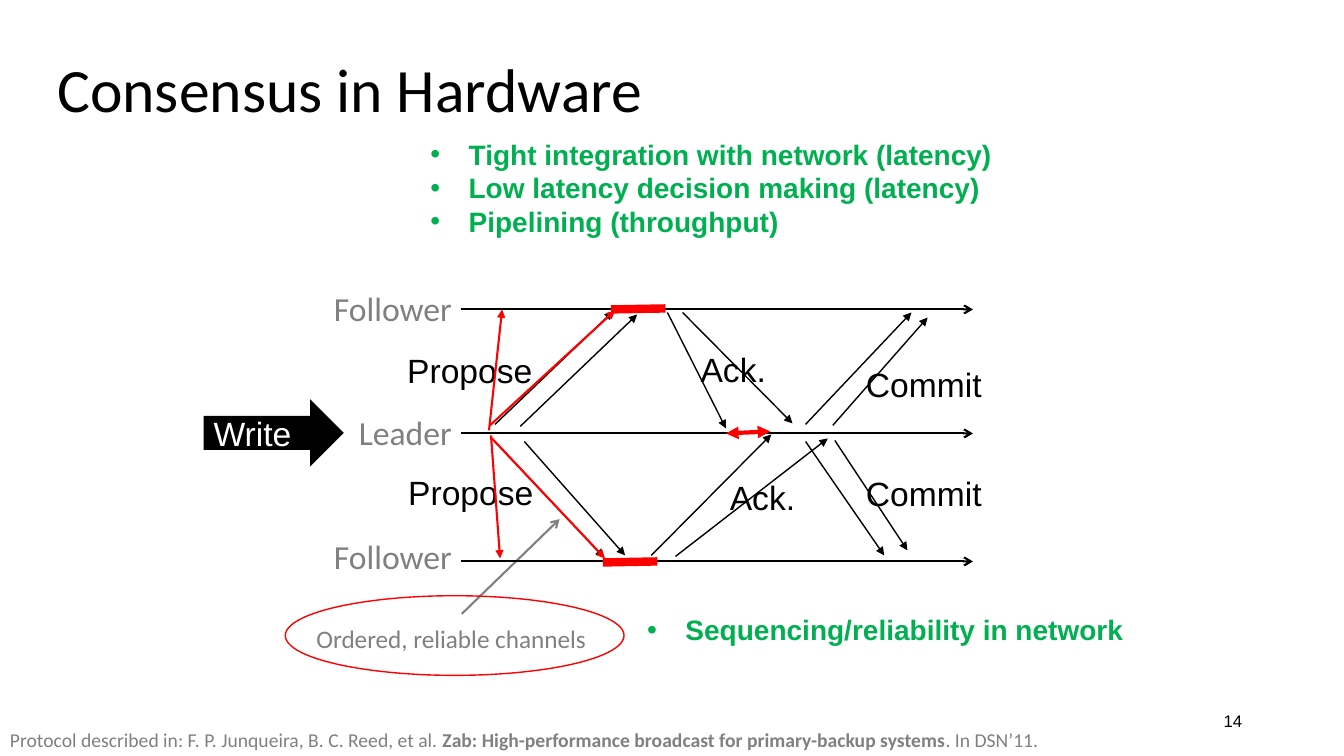
from lxml import etree
from pptx import Presentation
from pptx.dml.color import RGBColor
from pptx.enum.shapes import MSO_CONNECTOR, MSO_SHAPE
from pptx.enum.text import MSO_ANCHOR, PP_ALIGN
from pptx.oxml.ns import qn
from pptx.util import Inches, Pt

STRAIGHT = MSO_CONNECTOR.STRAIGHT
RIGHT_ARROW, OVAL = MSO_SHAPE.RIGHT_ARROW, MSO_SHAPE.OVAL
TOP, MIDDLE = MSO_ANCHOR.TOP, MSO_ANCHOR.MIDDLE
LEFT, RIGHT = PP_ALIGN.LEFT, PP_ALIGN.RIGHT

COLORS = {"black": "000000", "white": "FFFFFF", "gray": "808080",
          "red": "FF0000", "green": "00B050"}

FORMATS = {
    "title": {"name": "Calibri", "size": 44, "color": "black"},
    "number": {"name": "Arial", "size": 12, "color": "black"},
    "node": {"name": "Calibri", "size": 24, "color": "gray"},
    "message": {"name": "Arial", "size": 24, "color": "black"},
    "request": {"name": "Arial", "size": 24, "color": "white"},
    "channel": {"name": "Calibri", "size": 18, "color": "gray"},
    "source": {"name": "Calibri", "size": 14, "color": "gray"},
    "source bold": {"name": "Calibri", "size": 14, "color": "gray", "bold": True},
    "benefit": {"name": "Arial", "size": 20, "color": "green", "bold": True},
}


class SlideBuilder:
    """Draws styled elements on the current slide."""

    def __init__(self, slide):
        self.slide = slide

    def color(self, name):
        return RGBColor.from_string(COLORS[name])

    def add_run(self, paragraph, text, style):
        font_values = dict(FORMATS[style])
        run = paragraph.add_run()
        run.text = text
        run.font.color.rgb = self.color(font_values.pop("color"))
        font_values["size"] = Pt(font_values["size"])
        for attribute, value in font_values.items():
            setattr(run.font, attribute, value)

    def text(self, box, runs, align=LEFT, anchor=TOP, spacing=1.0):
        shape = self.slide.shapes.add_textbox(*map(Inches, box))
        frame = shape.text_frame
        frame.word_wrap = True
        frame.vertical_anchor = anchor
        paragraph = frame.paragraphs[0]
        paragraph.alignment = align
        paragraph.line_spacing = spacing
        for text, style in runs:
            self.add_run(paragraph, text, style)

    def bullets(self, box, items):
        shape = self.slide.shapes.add_textbox(*map(Inches, box))
        frame = shape.text_frame
        frame.word_wrap = True
        for index, item in enumerate(items):
            paragraph = frame.add_paragraph() if index else frame.paragraphs[0]
            self.add_run(paragraph, item, "benefit")
            properties = paragraph._p.get_or_add_pPr()
            properties.set("marL", str(Inches(0.38)))
            properties.set("indent", str(-Inches(0.38)))
            etree.SubElement(properties, qn("a:buFont"), typeface="Arial")
            etree.SubElement(properties, qn("a:buChar"), char="•")

    def shape(self, kind, box, fill=None, outline=None):
        shape = self.slide.shapes.add_shape(kind, *map(Inches, box))
        shape.shadow.inherit = False
        if fill:
            shape.fill.solid()
            shape.fill.fore_color.rgb = self.color(fill)
        else:
            shape.fill.background()
        if outline:
            shape.line.color.rgb = self.color(outline)
            shape.line.width = Pt(1)
        else:
            shape.line.fill.background()
        return shape

    def line(self, points, color="black", width=1, head=None, tail="triangle"):
        connector = self.slide.shapes.add_connector(STRAIGHT, *map(Inches, points))
        connector.line.color.rgb = self.color(color)
        connector.line.width = Pt(width)
        line = connector.line._get_or_add_ln()
        for tag, arrowhead in (("a:headEnd", head), ("a:tailEnd", tail)):
            if arrowhead:
                etree.SubElement(line, qn(tag), type=arrowhead)
        etree.SubElement(connector._element.spPr, qn("a:effectLst"))


def main():
    presentation = Presentation()
    presentation.slide_width = Inches(13.33)
    presentation.slide_height = Inches(7.5)
    builder = SlideBuilder(presentation.slides.add_slide(presentation.slide_layouts[6]))

    builder.text((9.42, 6.95, 3, 0.4), [("14", "number")], RIGHT, MIDDLE)
    builder.text((0.47, 0.09, 12.39, 1.65), [("Consensus in Hardware", "title")],
                 anchor=MIDDLE, spacing=0.9)
    builder.line((4.58, 6.09, 5.55, 5.15), "gray", 1.5, tail="arrow")
    builder.text((3.04, 6.13, 3.17, 0.4), [("Ordered, reliable channels", "channel")])

    request_arrow = builder.shape(RIGHT_ARROW, (2.02, 3.96, 1.39, 0.67), fill="black")
    request_arrow.text_frame.vertical_anchor = MIDDLE
    request_paragraph = request_arrow.text_frame.paragraphs[0]
    request_paragraph.alignment = LEFT
    builder.add_run(request_paragraph, "Write", "request")

    for timeline in (3.07, 4.3, 5.57):
        builder.line((4.57, timeline, 9.65, timeline), width=1.5, tail="arrow")

    black_messages = [
        (4.91, 4.21, 6.08, 3.09), (4.91, 4.38, 5.99, 5.53),
        (6.62, 3.1, 7.2, 4.25), (6.46, 5.51, 7.65, 4.31),
        (7.99, 4.21, 9.04, 3.1), (7.99, 4.38, 8.77, 5.51),
        (5.16, 4.23, 6.32, 3.12), (5.2, 4.38, 6.2, 5.51),
        (6.77, 3.1, 7.86, 4.2), (6.7, 5.52, 8.21, 4.35),
        (8.28, 4.37, 9, 5.46), (8.26, 4.22, 9.2, 3.15),
    ]
    for message in black_messages:
        builder.line(message)

    message_labels = [
        ("Propose", 3.94, 3.42), ("Propose", 3.95, 4.63),
        ("Ack.", 6.85, 3.41), ("Ack.", 7.14, 4.68),
        ("Commit", 8.49, 3.56), ("Commit", 8.49, 4.64),
    ]
    for label, left, top in message_labels:
        builder.text((left, top, 1.58, 0.51), [(label, "message")])
    for index, node in enumerate(("Follower", "Leader", "Follower")):
        builder.text((3, 2.81 + 1.23 * index, 1.58, 0.51), [(node, "node")], RIGHT)

    red_messages = [
        (4.86, 4.22, 6.1, 3.08), (4.85, 4.27, 4.98, 3.07),
        (4.87, 4.32, 4.96, 5.54), (4.87, 4.34, 6, 5.54),
    ]
    for message in red_messages:
        builder.line(message, "red", 1.5)
    for processing in ((5.98, 5.58, 6.52, 5.57), (6.06, 3.07, 6.6, 3.06)):
        builder.line(processing, "red", 6, tail=None)
    builder.line((7.2, 4.3, 7.64, 4.28), "red", 3, head="triangle")

    builder.text((0, 7.17, 12.97, 0.34), [
        ("Protocol described in: F. P. Junqueira, B. C. Reed, et al. ", "source"),
        ("Zab: High-performance broadcast for primary-backup systems", "source bold"),
        (". In DSN’11.", "source"),
    ])
    builder.bullets((4.17, 1.31, 9, 1.11), [
        "Tight integration with network (latency)",
        "Low latency decision making (latency)",
        "Pipelining (throughput)",
    ])
    builder.shape(OVAL, (2.83, 5.91, 3.36, 0.79), outline="red")
    builder.bullets((6.32, 6.03, 6.8, 0.44), ["Sequencing/reliability in network"])

    presentation.save("out.pptx")


if __name__ == "__main__":
    main()
